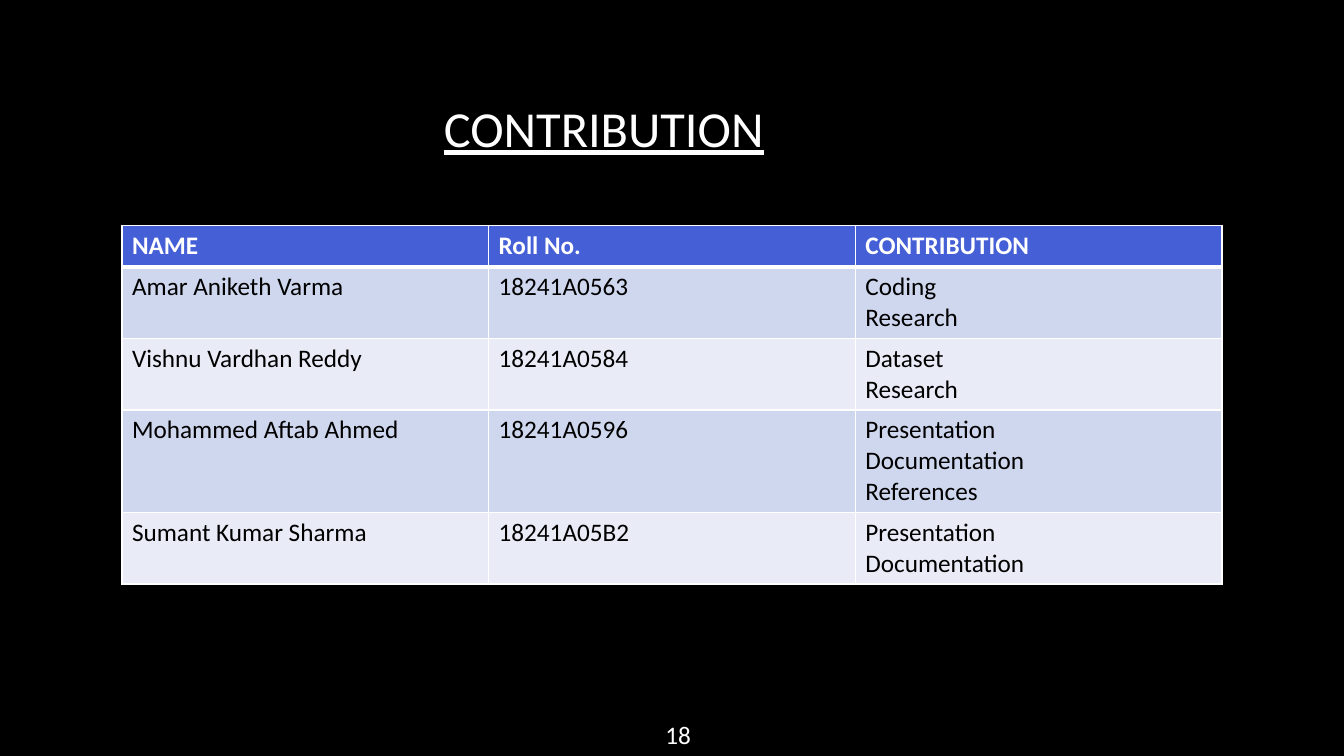
from dataclasses import dataclass

import pptx
import pptx.dml.color
import pptx.enum.text
import pptx.oxml
import pptx.oxml.ns
import pptx.util
from pptx.util import Inches

TITLE = "CONTRIBUTION"
PAGE_NUMBER = "18"
HEADERS = ("NAME", "Roll No.", "CONTRIBUTION")
MEMBERS = [
    ("Amar Aniketh Varma", "18241A0563", ("Coding", "Research")),
    ("Vishnu Vardhan Reddy", "18241A0584", ("Dataset", "Research")),
    ("Mohammed Aftab Ahmed", "18241A0596", ("Presentation", "Documentation", "References")),
    ("Sumant Kumar Sharma", "18241A05B2", ("Presentation", "Documentation")),
]


@dataclass(frozen=True)
class Theme:
    font: str = "Calibri"
    background: str = "000000"
    light: str = "FFFFFF"
    dark: str = "000000"
    header: str = "455FD6"
    bands: tuple = ("CFD7EE", "E9ECF7")
    title_size: int = 36
    text_size: int = 18
    thin_line: int = 1
    header_line: int = 3


THEME = Theme()
TITLE_BOX = (0.71, 0.5, 10.56, 1.53)
TABLE_LEFT, TABLE_TOP, TABLE_WIDTH = 1.21, 2.24, 10.91
LINE_HEIGHT, CELL_PADDING = 0.3, 0.1
PAGE_NUMBER_BOX = (6.5, 7.09, 0.49, 0.4)


def rgb(value):
    return pptx.dml.color.RGBColor.from_string(value)


def format_text(text_frame, size, color, bold=False, underline=False):
    for paragraph in text_frame.paragraphs:
        for run in paragraph.runs:
            run.font.name = THEME.font
            run.font.size = pptx.util.Pt(size)
            run.font.color.rgb = rgb(color)
            run.font.bold = bold
            run.font.underline = underline


def add_border(cell, side, width):
    namespace = pptx.oxml.ns.nsdecls("a")
    border = pptx.oxml.parse_xml(
        f'<a:ln{side} {namespace} w="{pptx.util.Pt(width)}"><a:solidFill>'
        f'<a:srgbClr val="{THEME.light}"/></a:solidFill></a:ln{side}>'
    )
    cell._tc.get_or_add_tcPr().append(border)


def format_cell(cell, row_index):
    is_header = row_index == 0
    top = THEME.header_line if row_index == 1 else THEME.thin_line
    bottom = THEME.header_line if is_header else THEME.thin_line
    for side, width in (("L", THEME.thin_line), ("R", THEME.thin_line), ("T", top), ("B", bottom)):
        add_border(cell, side, width)
    cell.fill.solid()
    fill = THEME.header if is_header else THEME.bands[(row_index - 1) % 2]
    cell.fill.fore_color.rgb = rgb(fill)
    color = THEME.light if is_header else THEME.dark
    format_text(cell.text_frame, THEME.text_size, color, bold=is_header)


def add_title(slide):
    title = slide.shapes.title
    title.left, title.top, title.width, title.height = map(Inches, TITLE_BOX)
    title.text_frame.text = TITLE
    title.text_frame.vertical_anchor = pptx.enum.text.MSO_ANCHOR.MIDDLE
    title.text_frame.paragraphs[0].alignment = pptx.enum.text.PP_ALIGN.CENTER
    format_text(title.text_frame, THEME.title_size, THEME.light, underline=True)


def add_contributions(slide):
    rows = [HEADERS] + [(name, roll, "\n".join(tasks)) for name, roll, tasks in MEMBERS]
    heights = [CELL_PADDING + LINE_HEIGHT * (row[-1].count("\n") + 1) for row in rows]
    table = slide.shapes.add_table(
        len(rows), len(HEADERS), Inches(TABLE_LEFT), Inches(TABLE_TOP),
        Inches(TABLE_WIDTH), Inches(sum(heights)),
    ).table
    for row_index, (row, height) in enumerate(zip(rows, heights)):
        table.rows[row_index].height = Inches(height)
        for column_index, text in enumerate(row):
            cell = table.cell(row_index, column_index)
            cell.text_frame.text = text
            format_cell(cell, row_index)


def add_page_number(slide):
    text_frame = slide.shapes.add_textbox(*map(Inches, PAGE_NUMBER_BOX)).text_frame
    text_frame.word_wrap = True
    text_frame.auto_size = pptx.enum.text.MSO_AUTO_SIZE.SHAPE_TO_FIT_TEXT
    text_frame.text = PAGE_NUMBER
    format_text(text_frame, THEME.text_size, THEME.light)


def main():
    presentation = pptx.Presentation()
    presentation.slide_width = Inches(13.33)
    presentation.slide_height = Inches(7.5)
    slide = presentation.slides.add_slide(presentation.slide_layouts.get_by_name("Title Only"))
    slide.background.fill.solid()
    slide.background.fill.fore_color.rgb = rgb(THEME.background)
    add_title(slide)
    add_contributions(slide)
    add_page_number(slide)
    presentation.save("out.pptx")


if __name__ == "__main__":
    main()
